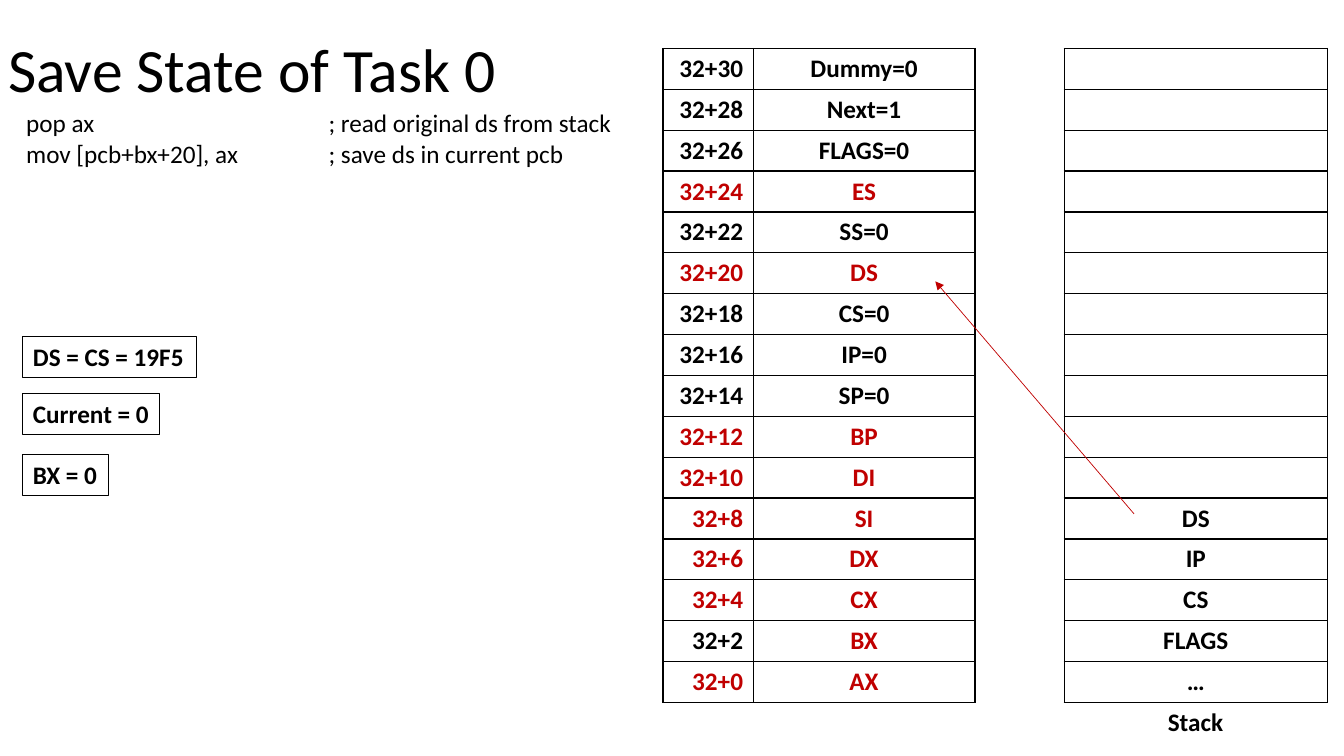
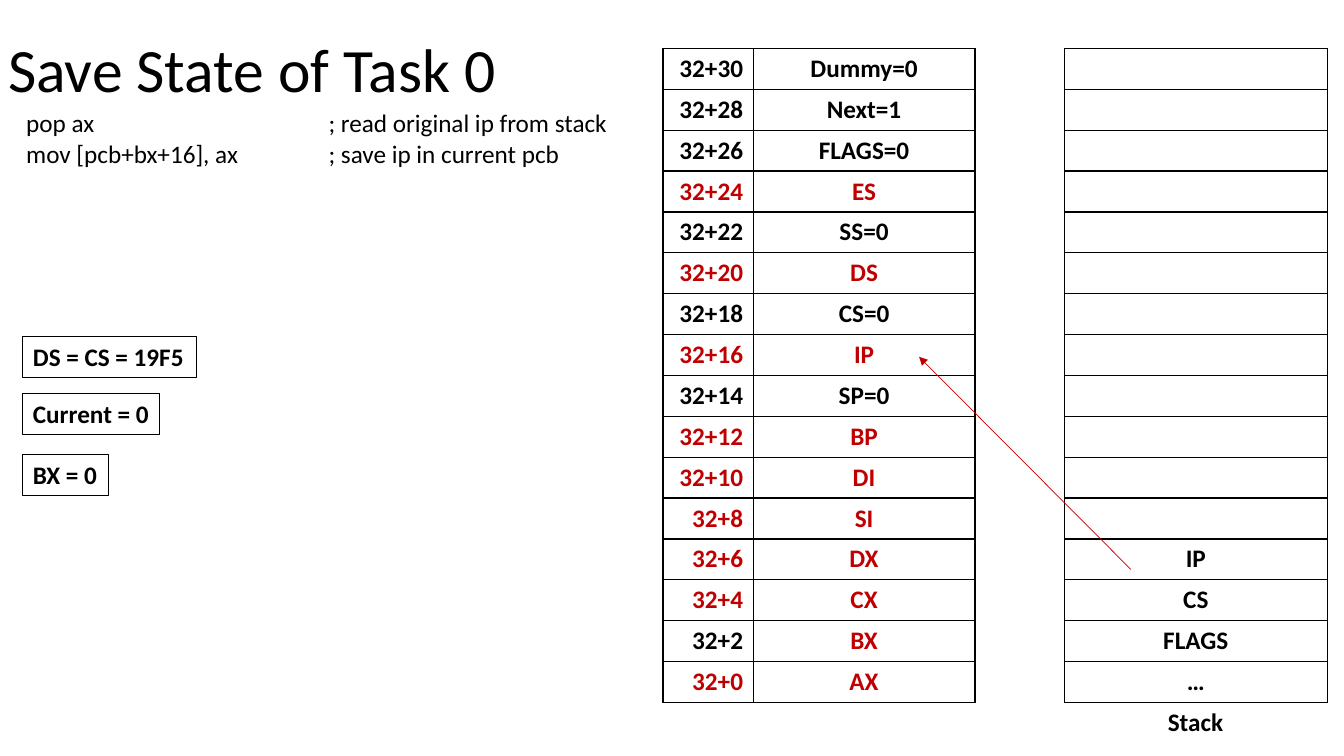
"""Build two slides that show a task's state moving from the stack to its control block."""
import pptx
import pptx.dml.color
import pptx.enum.shapes
import pptx.enum.text
import pptx.oxml.ns
import pptx.util
from lxml import etree

Cm = pptx.util.Cm
Pt = pptx.util.Pt
qn = pptx.oxml.ns.qn
ALIGN = pptx.enum.text.PP_ALIGN
ANCHOR = pptx.enum.text.MSO_ANCHOR
FIT = pptx.enum.text.MSO_AUTO_SIZE
SHAPE = pptx.enum.shapes.MSO_SHAPE

BLACK, WHITE, RED = "000000", "FFFFFF", "C00000"
TITLE = {"name": "Calibri", "size": Pt(44), "bold": False}
CODE = {"name": "Calibri", "size": Pt(18), "bold": False}
BOLD = {"name": "Calibri", "size": Pt(18), "bold": True}

TOP, ROW = 1.22, 1.03
FIELDS = ["Dummy=0", "Next=1", "FLAGS=0", "ES", "SS=0", "DS", "CS=0", "IP=0",
          "SP=0", "BP", "DI", "SI", "DX", "CX", "BX", "AX"]
STACK = ["DS", "IP", "CS", "FLAGS", "…"]
BOXES = [("DS = CS = 19F5", 8.48, 4.37), ("Current = 0", 9.91, 3.45),
         ("BX = 0", 11.46, 2.16)]
STEPS = [
    {"reg": "ds", "slot": 20, "done": [], "used": 5,
     "arrow": (28.58, 12.95, 23.57, 7.09)},
    {"reg": "ip", "slot": 16, "done": ["IP"], "used": 4,
     "arrow": (28.5, 14.35, 23.16, 8.99)},
]


def paint(code):
    """Return the colour for a hex string."""
    return pptx.dml.color.RGBColor.from_string(code)


def style(item, look, code=BLACK):
    """Apply a font look and a colour to a run or paragraph."""
    for name, value in look.items():
        setattr(item.font, name, value)
    item.font.color.rgb = paint(code)


def write(frame, lines, look):
    """Fill a text frame with left-aligned lines that do not wrap."""
    frame.word_wrap = False
    frame.auto_size = FIT.SHAPE_TO_FIT_TEXT
    frame.vertical_anchor = ANCHOR.TOP
    frame.text = "\n".join(lines)
    for par in frame.paragraphs:
        par.alignment = ALIGN.LEFT
        for run in par.runs:
            style(run, look)


def head(slide, text):
    """Place and format the title."""
    title = slide.shapes.title
    place = {"left": Cm(-0.05), "top": Cm(0), "width": Cm(29.21), "height": Cm(3.68)}
    for name, value in place.items():
        setattr(title, name, value)
    frame = title.text_frame
    frame.text = text
    frame.auto_size = FIT.NONE
    frame.vertical_anchor = ANCHOR.MIDDLE
    par = frame.paragraphs[0]
    par.alignment = ALIGN.LEFT
    par.line_spacing = 0.9
    style(par.runs[0], TITLE)


def label(slide, lines, left, top, width, height, look):
    """Add plain text and return its paragraphs."""
    box = slide.shapes.add_textbox(Cm(left), Cm(top), Cm(width), Cm(height))
    write(box.text_frame, lines, look)
    return box.text_frame.paragraphs


def code(slide, reg, slot):
    """Add the two code lines with comments set on one tab stop."""
    lines = [f"pop ax\t; read original {reg} from stack",
             f"mov [pcb+bx+{slot}], ax\t; save {reg} in current pcb"]
    for par in label(slide, lines, 0.41, 2.59, 15.4, 1.8, CODE):
        tabs = etree.SubElement(par._p.get_or_add_pPr(), qn("a:tabLst"))
        etree.SubElement(tabs, qn("a:tab"), pos=str(Cm(7.62)), algn="l")


def frame(slide, text, top, width):
    """Add an outlined box that holds a value."""
    box = slide.shapes.add_shape(SHAPE.RECTANGLE, Cm(0.58), Cm(top), Cm(width), Cm(ROW))
    box.shadow.inherit = False
    box.fill.background()
    box.line.color.rgb = paint(BLACK)
    box.line.width = Pt(0.75)
    write(box.text_frame, [text], BOLD)


def edge(cell):
    """Draw thin black borders round a cell and fill it white."""
    props = cell._tc.get_or_add_tcPr()
    for side in ("lnL", "lnR", "lnT", "lnB"):
        line = etree.SubElement(props, qn(f"a:{side}"), w=str(Pt(1)))
        fill = etree.SubElement(line, qn("a:solidFill"))
        etree.SubElement(fill, qn("a:srgbClr"), val=BLACK)
    cell.fill.solid()
    cell.fill.fore_color.rgb = paint(WHITE)


def grid(slide, left, widths, rows, aligns):
    """Add a table from rows of (text, colour) pairs."""
    shape = slide.shapes.add_table(len(rows), len(widths), Cm(left), Cm(TOP),
                                   Cm(sum(widths)), Cm(ROW * len(rows)))
    table = shape.table
    table.first_row = table.horz_banding = False
    for col, width in zip(table.columns, widths):
        col.width = Cm(width)
    for line, row in zip(table.rows, rows):
        line.height = Cm(ROW)
        for cell, (text, tint), align in zip(line.cells, row, aligns):
            edge(cell)
            par = cell.text_frame.paragraphs[0]
            par.alignment = align
            style(par, BOLD, tint)
            if text:
                par.text = text
                style(par.runs[0], BOLD, tint)


def block(done):
    """Return the control block rows, with saved fields in red."""
    rows = []
    for num, field in enumerate(FIELDS):
        name = field.split("=")[0]
        text = name if name in done else field
        tint = BLACK if "=" in text else RED
        key = BLACK if name == "BX" else tint
        rows.append([(f"32+{30 - 2 * num}", key), (text, tint)])
    return rows


def pile(used):
    """Return the stack rows, with the used ones at the bottom."""
    texts = [""] * (len(FIELDS) - used) + STACK[-used:]
    return [[(text, BLACK)] for text in texts]


def arrow(slide, ends):
    """Add a thin red arrow."""
    kind = pptx.enum.shapes.MSO_CONNECTOR.STRAIGHT
    link = slide.shapes.add_connector(kind, *map(Cm, ends))
    link.line.color.rgb = paint(RED)
    link.line.width = Pt(0.5)
    props = link.element.spPr
    etree.SubElement(props.find(qn("a:ln")), qn("a:tailEnd"), type="triangle")
    etree.SubElement(props, qn("a:effectLst"))


def build(deck, step):
    """Add the slide for one step."""
    slide = deck.slides.add_slide(deck.slide_layouts[5])
    head(slide, "Save State of Task 0")
    grid(slide, 26.82, [6.63], pile(step["used"]), [ALIGN.CENTER])
    code(slide, step["reg"], step["slot"])
    grid(slide, 16.71, [2.27, 5.59], block(step["done"]), [ALIGN.RIGHT, ALIGN.CENTER])
    label(slide, ["Stack"], 29.18, 17.68, 1.93, ROW, BOLD)
    for box in BOXES:
        frame(slide, *box)
    arrow(slide, step["arrow"])


def main():
    """Build and save the deck."""
    deck = pptx.Presentation()
    deck.slide_width, deck.slide_height = Cm(33.87), Cm(19.05)
    for step in STEPS:
        build(deck, step)
    deck.save("out.pptx")


if __name__ == "__main__":
    main()
